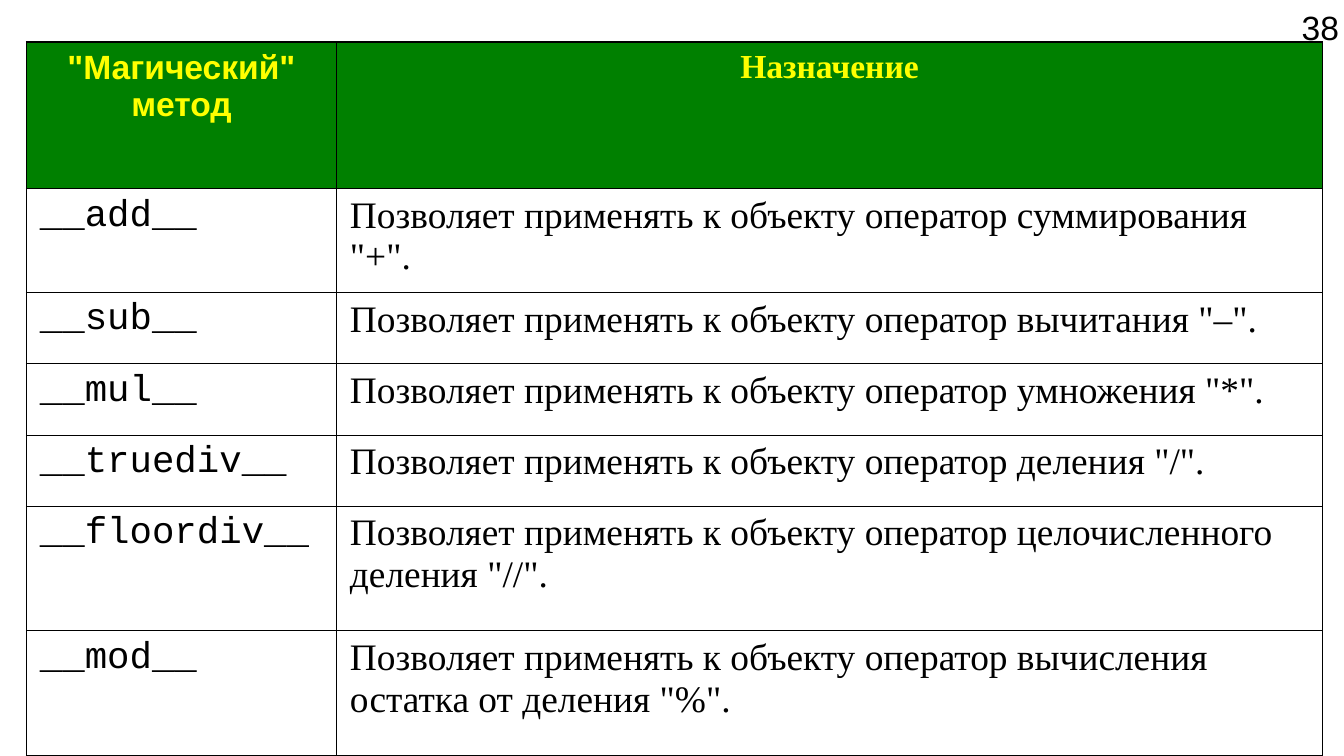
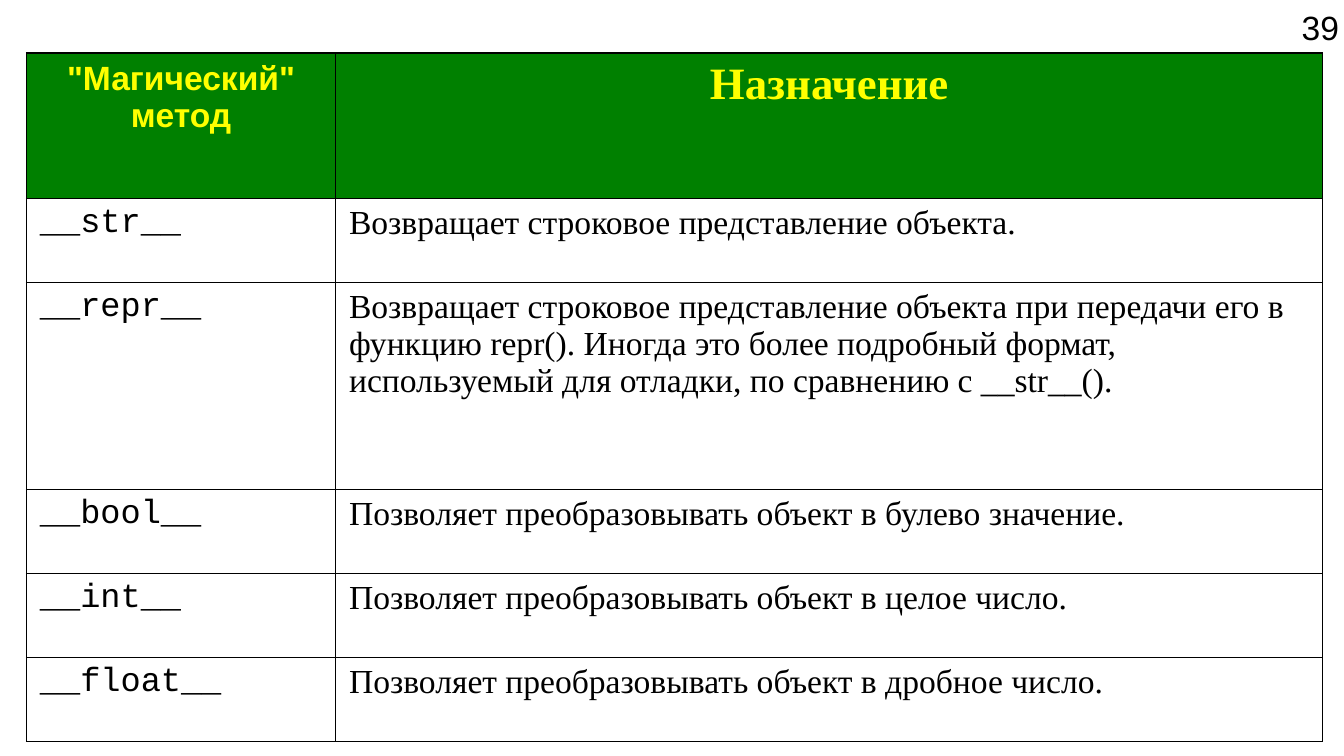
"""Builds two slides that list the magic methods of Python classes."""
from dataclasses import dataclass

from lxml import etree
from pptx import Presentation
from pptx.dml.color import RGBColor
from pptx.enum.text import PP_ALIGN
from pptx.oxml.ns import qn
from pptx.util import Pt

LEFT, CENTER, RIGHT = PP_ALIGN.LEFT, PP_ALIGN.CENTER, PP_ALIGN.RIGHT


@dataclass(frozen=True)
class Theme:
    """Colours, fonts, type sizes and line widths shared by the slides."""
    ink: str = "000000"
    header_fill: str = "008000"
    header_ink: str = "FFFF00"
    sans: str = "Arial"
    serif: str = "Times New Roman"
    mono: str = "Courier New"
    label_size: int = 18
    frame: float = 0.85
    hairline: float = 0.06


THEME = Theme()
SLIDE_SIZE = (720, 405)
NUMBER_BOX = (628, 0, 96.5, 29)
TABLE_LEFT, TABLE_WIDTH = 14.2, 694.4
HEADERS = ('"Магический" метод', "Назначение")

SLIDES = [
    {
        "number": "38", "top": 22.5, "method_width": 166.1, "framed_bottom": True,
        "purpose_size": 18, "body_size": 20,
        "heights": [78.4, 55.6, 38.2, 38.2, 38.2, 66.8, 66.8],
        "methods": [
            ("__add__", 'Позволяет применять к объекту оператор суммирования "+".'),
            ("__sub__", 'Позволяет применять к объекту оператор вычитания "–".'),
            ("__mul__", 'Позволяет применять к объекту оператор умножения "*".'),
            ("__truediv__", 'Позволяет применять к объекту оператор деления "/".'),
            ("__floordiv__", 'Позволяет применять к объекту оператор целочисленного деления "//".'),
            ("__mod__", 'Позволяет применять к объекту оператор вычисления остатка от деления "%".'),
        ],
    },
    {
        "number": "39", "top": 28.4, "method_width": 165.6, "framed_bottom": False,
        "purpose_size": 24, "body_size": 18,
        "heights": [77.6, 45, 110.9, 45, 45, 45],
        "methods": [
            ("__str__", "Возвращает строковое представление объекта."),
            ("__repr__", "Возвращает строковое представление объекта при передачи его в "
                         "функцию repr(). Иногда это более подробный формат, используемый "
                         "для отладки, по сравнению с __str__()."),
            ("__bool__", "Позволяет преобразовывать объект в булево значение."),
            ("__int__", "Позволяет преобразовывать объект в целое число."),
            ("__float__", "Позволяет преобразовывать объект в дробное число."),
        ],
    },
]


def write(frame, text, font_name, size, color=THEME.ink, bold=False, align=LEFT):
    """Put one formatted paragraph into a text frame."""
    frame.text = text
    para = frame.paragraphs[0]
    para.alignment = align
    font = para.runs[0].font
    font.name, font.size, font.bold = font_name, Pt(size), bold
    font.color.rgb = RGBColor.from_string(color)


def set_borders(cell, top, bottom):
    """Draw the four borders of a cell, with framed sides."""
    properties = cell._tc.get_or_add_tcPr()
    widths = {"a:lnL": THEME.frame, "a:lnR": THEME.frame, "a:lnT": top, "a:lnB": bottom}
    for tag, width in widths.items():
        line = etree.SubElement(properties, qn(tag), w=str(int(Pt(width))))
        fill = etree.SubElement(line, qn("a:solidFill"))
        etree.SubElement(fill, qn("a:srgbClr"), val=THEME.ink)


def add_number(page, number):
    """Add the page number in the top right corner."""
    box = page.shapes.add_textbox(*map(Pt, NUMBER_BOX))
    box.text_frame.word_wrap = False
    write(box.text_frame, number, THEME.sans, THEME.label_size, align=RIGHT)


def add_methods(page, content):
    """Add the table of methods and their purposes."""
    rows = [HEADERS, *content["methods"]]
    heights = content["heights"]
    table = page.shapes.add_table(
        len(rows), 2, Pt(TABLE_LEFT), Pt(content["top"]),
        Pt(TABLE_WIDTH), Pt(sum(heights))).table
    table.first_row = table.horz_banding = False
    table.columns[0].width = Pt(content["method_width"])
    table.columns[1].width = Pt(TABLE_WIDTH - content["method_width"])
    header_styles = [(THEME.sans, THEME.label_size), (THEME.serif, content["purpose_size"])]
    body_styles = [(THEME.mono, content["body_size"]), (THEME.serif, content["body_size"])]

    for index, texts in enumerate(rows):
        table.rows[index].height = Pt(heights[index])
        is_header = index == 0
        is_framed_end = content["framed_bottom"] and index == len(rows) - 1
        top = THEME.frame if is_header else THEME.hairline
        bottom = THEME.frame if is_framed_end else THEME.hairline
        styles = header_styles if is_header else body_styles
        for column, (text, style) in enumerate(zip(texts, styles)):
            cell = table.cell(index, column)
            set_borders(cell, top, bottom)
            if is_header:
                cell.fill.solid()
                cell.fill.fore_color.rgb = RGBColor.from_string(THEME.header_fill)
                write(cell.text_frame, text, *style, THEME.header_ink, True, CENTER)
            else:
                cell.fill.background()
                write(cell.text_frame, text, *style)


def main():
    """Build and save the deck."""
    deck = Presentation()
    deck.slide_width, deck.slide_height = map(Pt, SLIDE_SIZE)
    for content in SLIDES:
        page = deck.slides.add_slide(deck.slide_layouts[6])
        add_number(page, content["number"])
        add_methods(page, content)
    deck.save("out.pptx")


if __name__ == "__main__":
    main()
